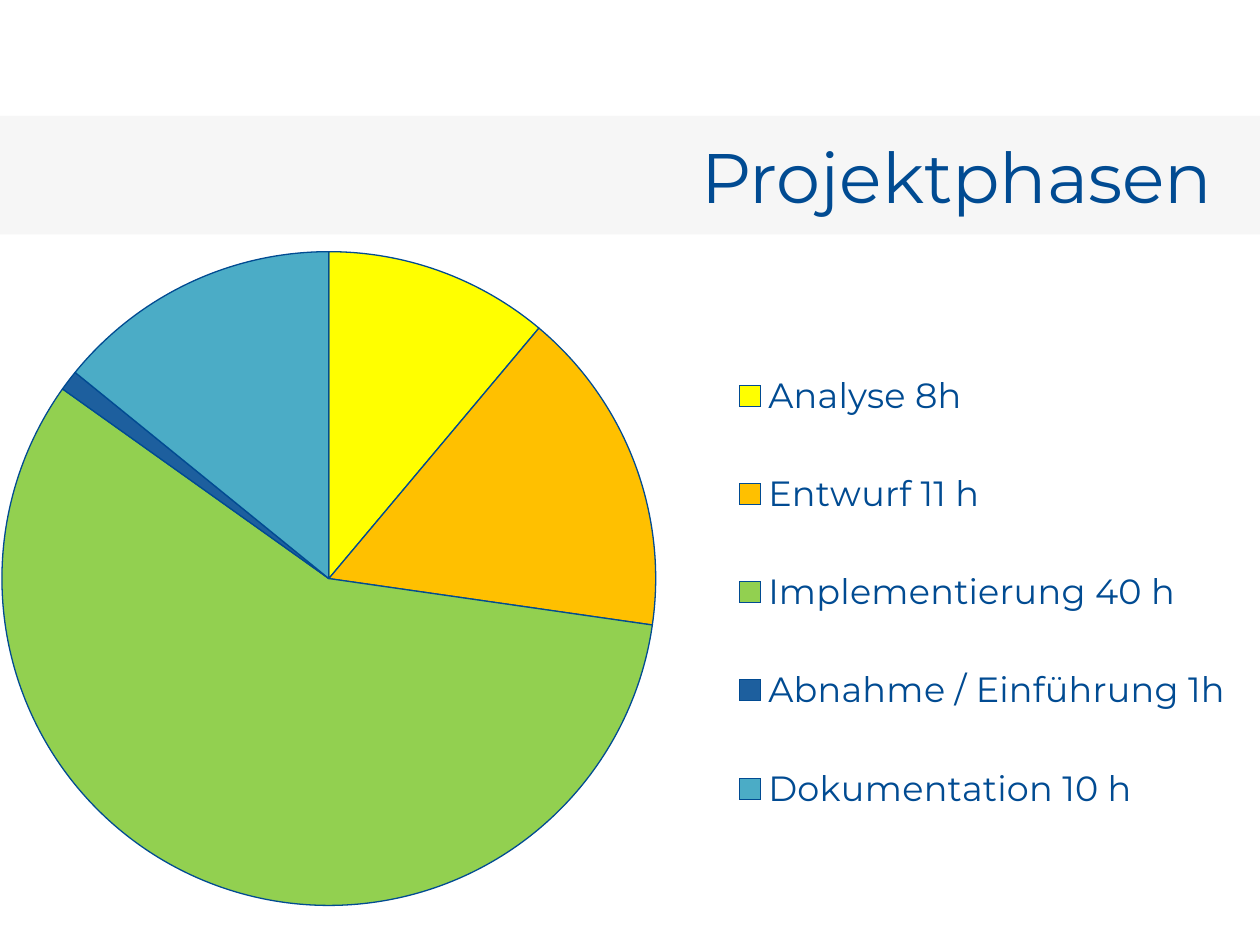
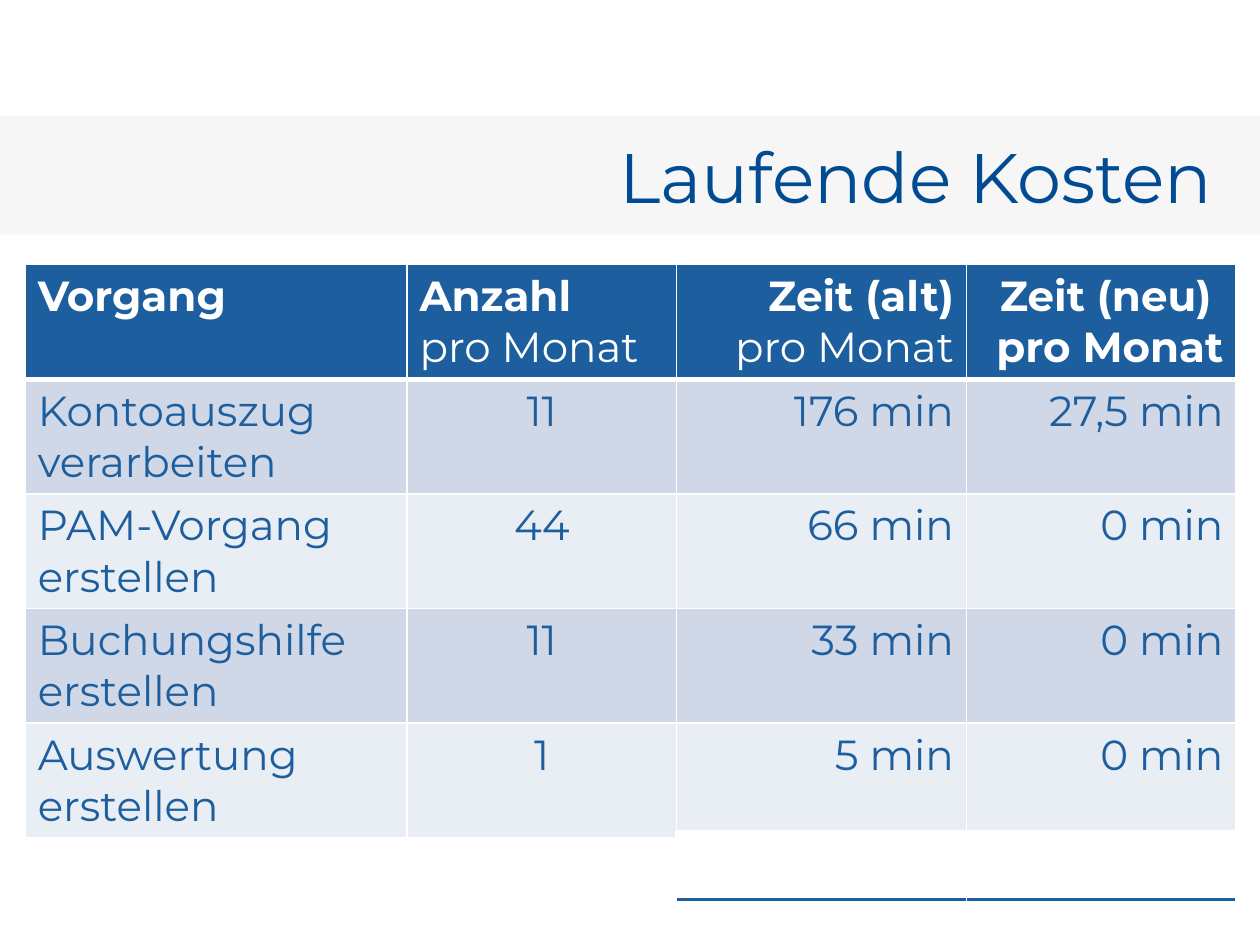
from lxml import etree
from pptx import Presentation
from pptx.chart.data import CategoryChartData
from pptx.dml.color import RGBColor
from pptx.enum.chart import XL_CHART_TYPE as ChartType, XL_LEGEND_POSITION as LegendPosition
from pptx.enum.shapes import MSO_SHAPE as Shape
from pptx.enum.text import MSO_ANCHOR as Anchor, PP_ALIGN as Align
from pptx.oxml.ns import qn
from pptx.util import Inches, Pt

FONT = "Montserrat"
NAVY, BLUE, WHITE, BAND = "014B92", "1D5F9E", "FFFFFF", "F2F2F2"
ROW_FILLS = ("D0D8E8", "E9EDF4")

PHASES = [
    ("Analyse 8h", 11, "FFFF00"),
    ("Entwurf 11 h", 16, "FFC000"),
    ("Implementierung 40 h", 57, "92D050"),
    ("Abnahme / Einführung 1h", 1, BLUE),
    ("Dokumentation 10 h", 14, "4BACC6"),
]
COLUMN_WIDTHS = (3.03, 2.14, 2.3, 2.14)
HEADER_ALIGNS = (Align.LEFT, Align.LEFT, Align.RIGHT, Align.RIGHT)
BODY_ALIGNS = (Align.LEFT, Align.CENTER, Align.RIGHT, Align.RIGHT)
HEADERS = [
    [("Vorgang", True)],
    [("Anzahl", True), ("pro Monat", False)],
    [("Zeit (alt)", True), ("pro Monat", False)],
    [("Zeit (neu) ", True), ("pro Monat", True)],
]
COSTS = [
    ("Kontoauszug verarbeiten", "11", "176 min", "27,5 min"),
    ("PAM-Vorgang erstellen", "44", "66 min", "0 min"),
    ("Buchungshilfe erstellen", "11", "33 min", "0 min"),
    ("Auswertung erstellen", "1", "5 min", "0 min"),
]


def color(value):
    """Turn a hex string into a colour."""
    return RGBColor.from_string(value)


def set_font(font, size, value, bold=False):
    """Apply the deck's typeface with a size, colour and weight."""
    font.name = FONT
    font.size = Pt(size)
    font.bold = bold
    font.color.rgb = color(value)


def add_rectangle(page, left, top, width, height, fill, alpha=None):
    """Add a plain filled rectangle, translucent if alpha is given in percent."""
    box = page.shapes.add_shape(
        Shape.RECTANGLE, Inches(left), Inches(top), Inches(width), Inches(height))
    box.shadow.inherit = False
    box.fill.solid()
    box.fill.fore_color.rgb = color(fill)
    box.line.fill.background()
    if alpha:
        tint = box.fill._xPr.find(".//" + qn("a:srgbClr"))
        etree.SubElement(tint, qn("a:alpha"), val=str(alpha * 1000))
    return box


def add_page(deck, title):
    """Add a page with the title band."""
    page = deck.slides.add_slide(deck.slide_layouts[6])
    add_rectangle(page, -0.04, 0.92, 10.04, 0.94, BAND, 66)
    box = page.shapes.add_textbox(Inches(0.32), Inches(0.92), Inches(9.4), Inches(0.94))
    frame = box.text_frame
    frame.word_wrap = True
    frame.vertical_anchor = Anchor.MIDDLE
    para = frame.paragraphs[0]
    para.text = title
    para.alignment = Align.RIGHT
    set_font(para.font, 40, NAVY)
    return page


def place(parent, index, inner=False, **fractions):
    """Give a chart part a fixed place, in fractions of the chart."""
    layout = etree.Element(qn("c:layout"))
    manual = etree.SubElement(layout, qn("c:manualLayout"))
    if inner:
        etree.SubElement(manual, qn("c:layoutTarget"), val="inner")
    for axis in "xy":
        etree.SubElement(manual, qn(f"c:{axis}Mode"), val="edge")
    for key, value in fractions.items():
        etree.SubElement(manual, qn(f"c:{key}"), val=str(value))
    for old in parent.findall(qn("c:layout")):
        parent.remove(old)
    parent.insert(index, layout)


def add_phase_pie(page):
    """Add the pie of project phases with its legend."""
    names, values, fills = zip(*PHASES)
    data = CategoryChartData()
    data.categories = names
    data.add_series("Series 1", values)
    chart = page.shapes.add_chart(
        ChartType.PIE, Inches(-0.62), Inches(1.88), Inches(10.59), Inches(5.48), data).chart
    chart.has_title = False
    set_font(chart.font, 20, NAVY)
    chart.has_legend = True
    legend = chart.legend
    legend.position = LegendPosition.RIGHT
    legend.include_in_layout = False
    set_font(legend.font, 20, NAVY)
    plot = chart.plots[0]
    plot.vary_by_categories = True
    place(plot._element.getparent(), 0, True, x=0.06, y=0.02, w=0.49, h=0.95)
    place(legend._element, 1, x=0.6, y=0.12, w=0.39, h=0.79)
    for index, fill in enumerate(fills):
        part = plot.series[0].points[index].format
        part.fill.solid()
        part.fill.fore_color.rgb = color(fill)
        part.line.color.rgb = color(NAVY)
        part.line.width = Pt(0.75)


def style_cell(cell, fill, bottom=1):
    """Give a cell its fill and white borders."""
    properties = cell._tc.get_or_add_tcPr()
    for side, width in (("L", 1), ("R", 1), ("T", 1), ("B", bottom)):
        line = etree.SubElement(properties, qn(f"a:ln{side}"), w=str(Pt(width)))
        solid = etree.SubElement(line, qn("a:solidFill"))
        etree.SubElement(solid, qn("a:srgbClr"), val=WHITE)
    cell.fill.solid()
    cell.fill.fore_color.rgb = color(fill)


def write_cell(cell, lines, align, value):
    """Write lines of (text, bold) into a cell, one paragraph each."""
    frame = cell.text_frame
    for index, (text, bold) in enumerate(lines):
        para = frame.add_paragraph() if index else frame.paragraphs[0]
        para.text = text
        para.alignment = align
        set_font(para.font, 24, value, bold)


def add_cost_table(page):
    """Add the table of running costs, closed by a blue rule under the times."""
    last = len(COSTS) + 1
    table = page.shapes.add_table(
        last + 1, len(COLUMN_WIDTHS), Inches(0.2), Inches(2.1), Inches(9.61), Inches(5.06)).table
    for column, width in zip(table.columns, COLUMN_WIDTHS):
        column.width = Inches(width)
    for index, row in enumerate(table.rows):
        row.height = Inches(0.51 if index == last else 0.91)
    for column, lines in enumerate(HEADERS):
        cell = table.cell(0, column)
        style_cell(cell, BLUE, 3)
        write_cell(cell, lines, HEADER_ALIGNS[column], WHITE)
    for row, texts in enumerate(COSTS, 1):
        for column, text in enumerate(texts):
            cell = table.cell(row, column)
            style_cell(cell, ROW_FILLS[(row - 1) % 2])
            write_cell(cell, [(text, False)], BODY_ALIGNS[column], BLUE)
    table.cell(last, 0).merge(table.cell(last, 1))
    for column, fill in enumerate((WHITE, WHITE, BLUE, BLUE)):
        style_cell(table.cell(last, column), fill)
    cover = add_rectangle(page, 5.37, 6.6, 4.43, 0.51, WHITE)
    cover.line.color.rgb = color(WHITE)
    cover.line.width = Pt(2)


def main():
    """Build and save the deck."""
    deck = Presentation()
    deck.slide_width, deck.slide_height = Inches(10), Inches(7.5)
    add_phase_pie(add_page(deck, "Projektphasen"))
    add_cost_table(add_page(deck, "Laufende Kosten"))
    deck.save("out.pptx")


if __name__ == "__main__":
    main()
